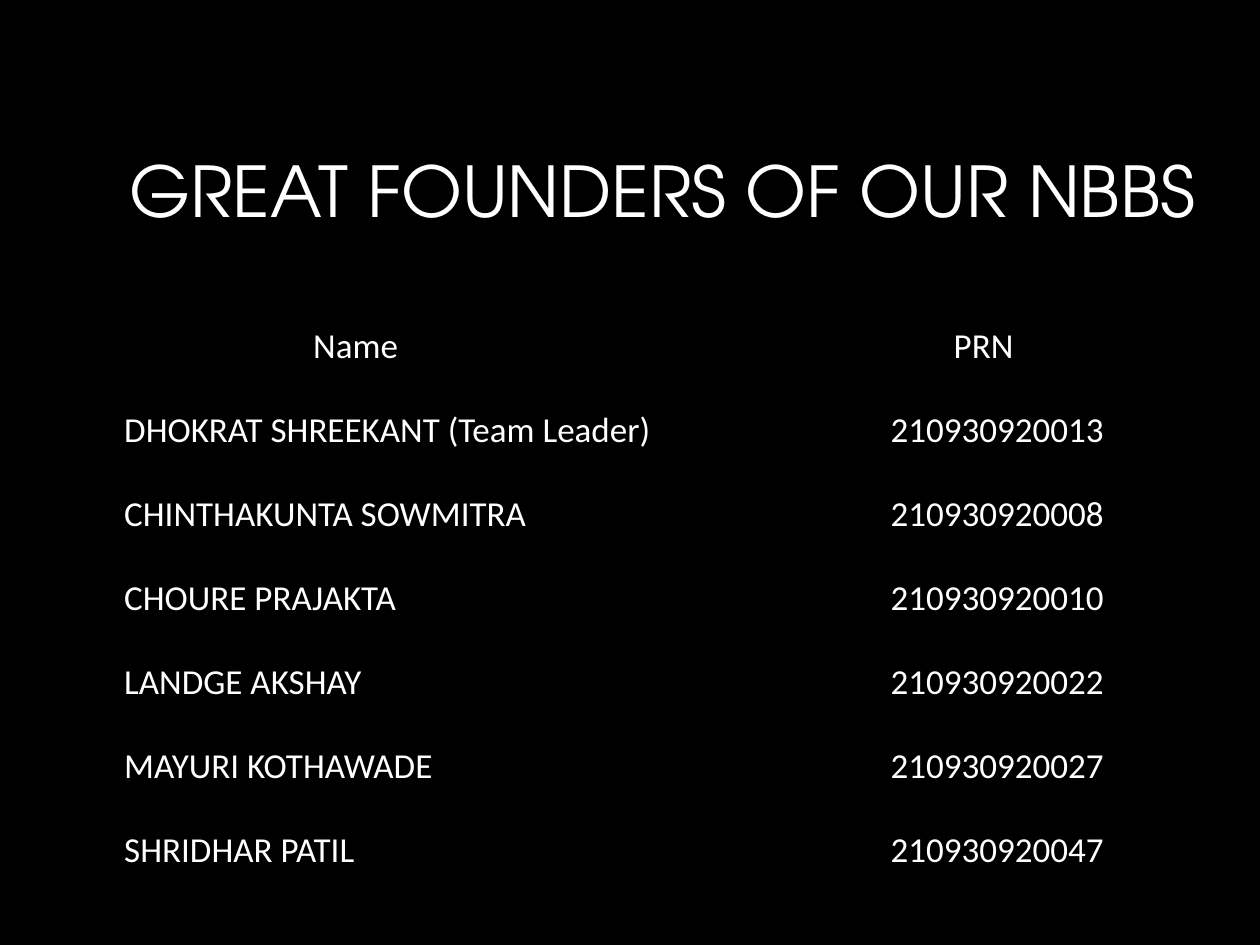
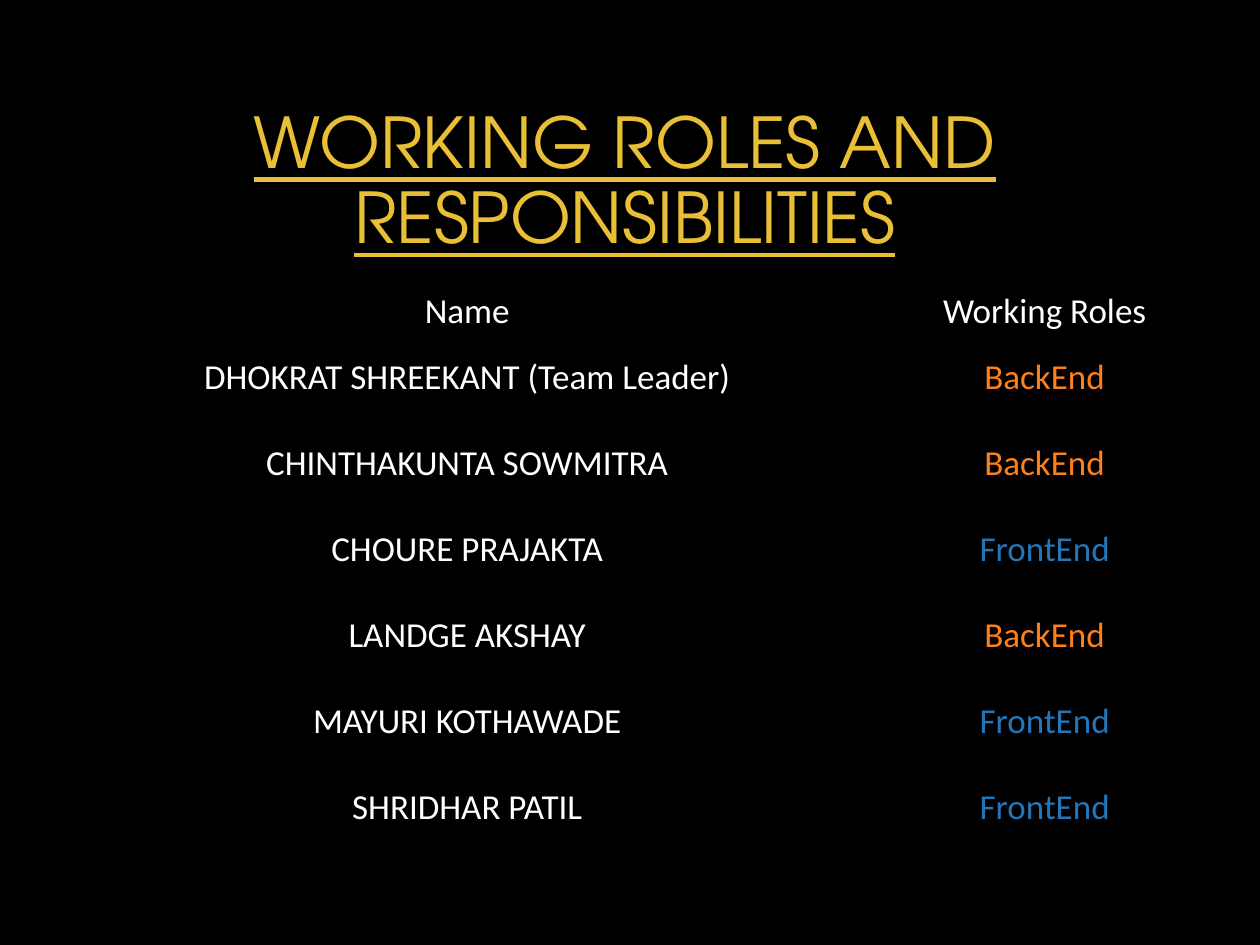
import pptx
import pptx.dml.color
import pptx.enum.text
import pptx.oxml
import pptx.oxml.ns
import pptx.util

Pt = pptx.util.Pt
ALIGN = pptx.enum.text.PP_ALIGN
MIDDLE = pptx.enum.text.MSO_ANCHOR.MIDDLE

BLACK, WHITE, GOLD = "000000", "FFFFFF", "E9BF35"
ORANGE, BLUE = "FE801A", "2476B9"
TITLE_FONT, BODY_FONT = "TeX Gyre Adventor", "Calibri"
COLUMNS = (474, 186)
INDENT = 36  # one list level

# Name, registration number, working role
TEAM = [
    ("DHOKRAT SHREEKANT (Team Leader)", "210930920013", "BackEnd"),
    ("CHINTHAKUNTA SOWMITRA", "210930920008", "BackEnd"),
    ("CHOURE PRAJAKTA", "210930920010", "FrontEnd"),
    ("LANDGE AKSHAY", "210930920022", "BackEnd"),
    ("MAYURI KOTHAWADE", "210930920027", "FrontEnd"),
    ("SHRIDHAR PATIL", "210930920047", "FrontEnd"),
]
ROLE_COLORS = {"BackEnd": ORANGE, "FrontEnd": BLUE}


def rgb(color):
    return pptx.dml.color.RGBColor.from_string(color)


class Deck:
    """Holds the shared style and the current slide."""

    def __init__(self):
        self.prs = pptx.Presentation()
        self.prs.slide_width, self.prs.slide_height = Pt(720), Pt(540)
        self.s = None

    def slide(self):
        self.s = self.prs.slides.add_slide(self.prs.slide_layouts[6])
        fill = self.s.background.fill
        fill.solid()
        fill.fore_color.rgb = rgb(BLACK)

    def run(self, p, text, size, font, color, underline=None):
        r = p.add_run()
        r.text = text
        r.font.size, r.font.name = Pt(size), font
        r.font.color.rgb = rgb(color)
        r.font.underline = underline

    def title(self, text, left, top, width, align, color=WHITE, underline=None):
        sp = self.s.shapes.add_textbox(Pt(left), Pt(top), Pt(width), Pt(101.5))
        tf = sp.text_frame
        tf.word_wrap = True
        tf.vertical_anchor = MIDDLE
        p = tf.paragraphs[0]
        p.alignment, p.line_spacing = align, 0.9
        self.run(p, text, 40, TITLE_FONT, color, underline)

    def table(self, top, heights, rows):
        """Each cell is (text, level, alignment, color)."""
        frame = self.s.shapes.add_table(len(rows), len(COLUMNS), Pt(30), Pt(top),
                                        Pt(sum(COLUMNS)), Pt(sum(heights)))
        table = frame.table
        table.first_row = table.horz_banding = False
        for column, width in zip(table.columns, COLUMNS):
            column.width = Pt(width)
        for row, height, cells in zip(table.rows, heights, rows):
            row.height = Pt(height)
            for cell, content in zip(row.cells, cells):
                self.cell(cell, *content)

    def cell(self, cell, text, level, align, color):
        cell.vertical_anchor = MIDDLE
        cell.margin_left = cell.margin_right = Pt(5)
        cell.margin_top = cell.margin_bottom = 0
        p = cell.text_frame.paragraphs[0]
        p.alignment, p.level = align, level
        p._p.get_or_add_pPr().set("marL", str(Pt(INDENT * level)))
        self.run(p, text, 20, BODY_FONT, color)
        # Borders come before the fill in the cell properties
        for side in ("lnL", "lnR", "lnT", "lnB"):
            cell._tc.get_or_add_tcPr().append(pptx.oxml.parse_xml(
                f'<a:{side} {pptx.oxml.ns.nsdecls("a")} w="{Pt(1)}"><a:solidFill>'
                f'<a:srgbClr val="{BLACK}"/></a:solidFill></a:{side}>'))
        cell.fill.solid()
        cell.fill.fore_color.rgb = rgb(BLACK)


def left(text, level=0):
    return text, level, ALIGN.LEFT, WHITE


def centered(text, color=WHITE):
    return text, 0, ALIGN.CENTER, color


def main():
    deck = Deck()

    # Founders and their numbers
    deck.slide()
    deck.title("GREAT FOUNDERS OF OUR NBBS", 30, 60.5, 660, ALIGN.RIGHT)
    rows = [(left("Name", 4), left("PRN", 1))]
    rows += [(left(name, 1), left(prn)) for name, prn, _ in TEAM]
    deck.table(174, [48] * len(rows), rows)

    # Working roles
    deck.slide()
    deck.title("WORKING ROLES AND RESPONSIBILITIES", 12, 54, 690, ALIGN.CENTER,
               GOLD, True)
    rows = [(centered("Name"), centered("Working Roles"))]
    rows += [(centered(name), centered(role, ROLE_COLORS[role]))
             for name, _, role in TEAM]
    deck.table(165, [26] + [49.2] * len(TEAM), rows)

    deck.prs.save("out.pptx")


if __name__ == "__main__":
    main()
